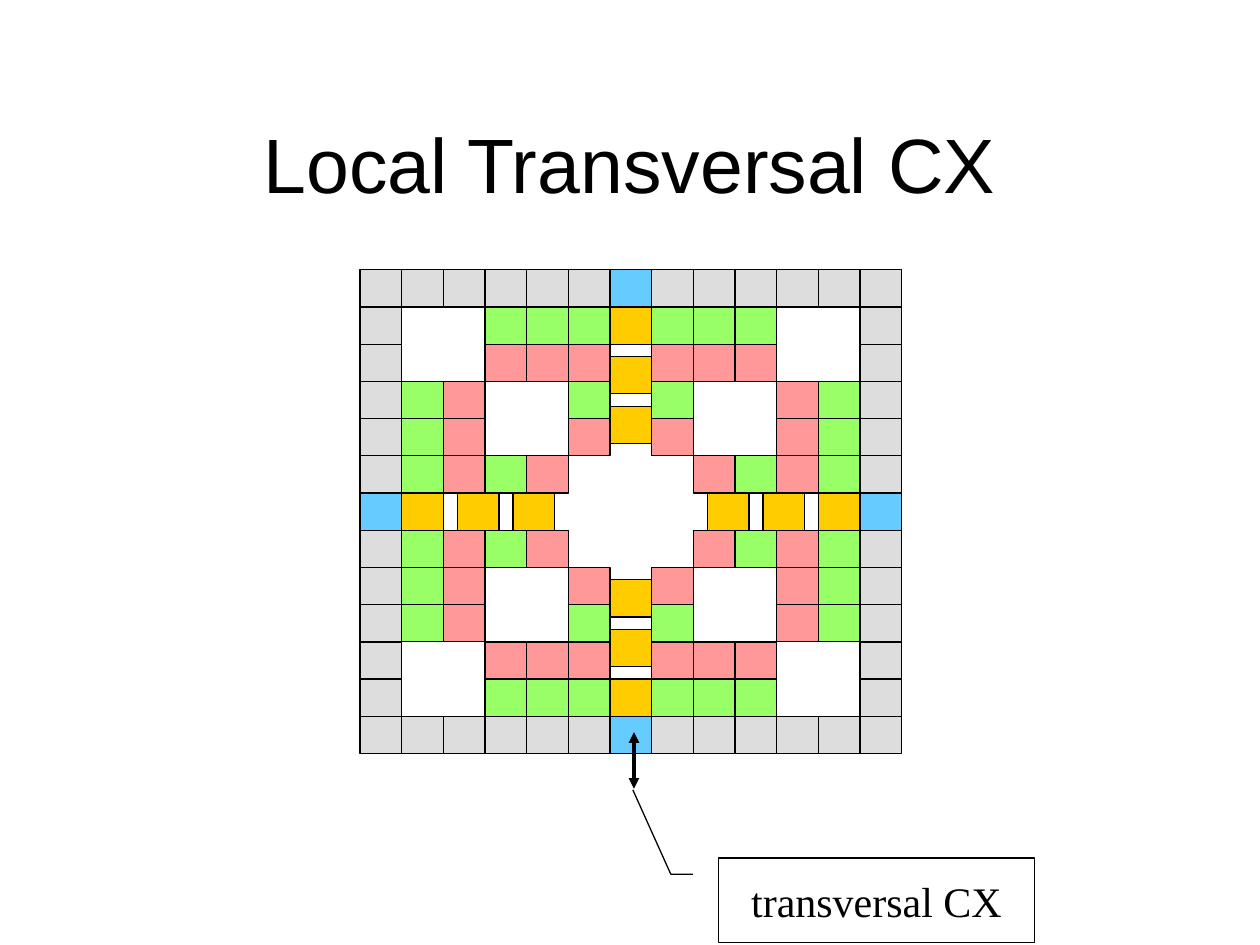
from lxml.etree import SubElement
from pptx import Presentation
from pptx.dml.color import RGBColor
from pptx.enum.shapes import MSO_CONNECTOR, MSO_SHAPE
from pptx.enum.text import MSO_ANCHOR, PP_ALIGN
from pptx.oxml.ns import qn
from pptx.util import Cm, Pt

BLACK = RGBColor(0x00, 0x00, 0x00)
GREY = RGBColor(0xDD, 0xDD, 0xDD)
BLUE = RGBColor(0x66, 0xCC, 0xFF)
GREEN = RGBColor(0x99, 0xFF, 0x66)
PINK = RGBColor(0xFF, 0x99, 0x99)
YELLOW = RGBColor(0xFF, 0xCC, 0x00)

# Grid of cells
LEFT, TOP = 7.26, 5.44
CELL_W, CELL_H = 0.84, 0.75
LAST = 12
COLORS = {"g": GREY, "b": BLUE, "n": GREEN, "p": PINK}
# Upper left quarter, with the middle row and column; the rest is mirrored
QUARTER = [
    "ggggggb",
    "g..nnn.",
    "g..ppp.",
    "gnp..n.",
    "gnp..p.",
    "gnpnp..",
    "b......",
]


def add_cell(shapes, col, row, color):
    sp = shapes.add_shape(MSO_SHAPE.RECTANGLE, Cm(LEFT + col * CELL_W),
                          Cm(TOP + row * CELL_H), Cm(CELL_W), Cm(CELL_H))
    sp.shadow.inherit = False
    sp.fill.solid()
    sp.fill.fore_color.rgb = color
    sp.line.color.rgb = BLACK
    sp.line.width = Pt(0.75)


def write_text(sp, text, font, size):
    tf = sp.text_frame
    tf.word_wrap = True
    tf.vertical_anchor = MSO_ANCHOR.MIDDLE
    p = tf.paragraphs[0]
    p.alignment = PP_ALIGN.CENTER
    r = p.add_run()
    r.text = text
    r.font.name = font
    r.font.size = Pt(size)
    r.font.color.rgb = BLACK


prs = Presentation()
prs.slide_width, prs.slide_height = Cm(25.4), Cm(19.05)
s = prs.slides.add_slide(prs.slide_layouts[6])

# Fixed cells
grid = s.shapes.add_group_shape()
rows = [half + half[-2::-1] for half in QUARTER]
rows += rows[-2::-1]
for row, line in enumerate(rows):
    for col, key in enumerate(line):
        if key in COLORS:
            add_cell(grid.shapes, col, row, COLORS[key])

# Yellow cells, spaced a third of a cell apart along the four arms
mid = LAST / 2
for i in range(3):
    near = 1 + i * 4 / 3
    for pos in (near, LAST - near):
        add_cell(grid.shapes, mid, pos, YELLOW)
        add_cell(grid.shapes, pos, mid, YELLOW)

# Title
title = s.shapes.add_textbox(Cm(1.9), Cm(1.7), Cm(21.6), Cm(3.18))
write_text(title, "Local Transversal CX", "Arial", 44)

# Double arrow out of the bottom blue cell
arrow = s.shapes.add_connector(MSO_CONNECTOR.STRAIGHT, Cm(12.78), Cm(14.76),
                               Cm(12.78), Cm(15.9))
arrow.line.color.rgb = BLACK
arrow.line.width = Pt(2)
ln = arrow.line._get_or_add_ln()
for end in ("a:headEnd", "a:tailEnd"):
    SubElement(ln, qn(end), type="triangle")
SubElement(arrow._element.spPr, qn("a:effectLst"))

# Callout
callout = s.shapes.add_shape(MSO_SHAPE.LINE_CALLOUT_2, Cm(14.48), Cm(17.3),
                             Cm(6.38), Cm(1.7))
for i, value in enumerate((0.19, -0.08, 0.19, -0.15, -0.81, -0.27)):
    callout.adjustments[i] = value
callout.shadow.inherit = False
callout.fill.background()
callout.line.color.rgb = BLACK
callout.line.width = Pt(0.75)
write_text(callout, "transversal CX", "Times New Roman", 24)

prs.save("out.pptx")
